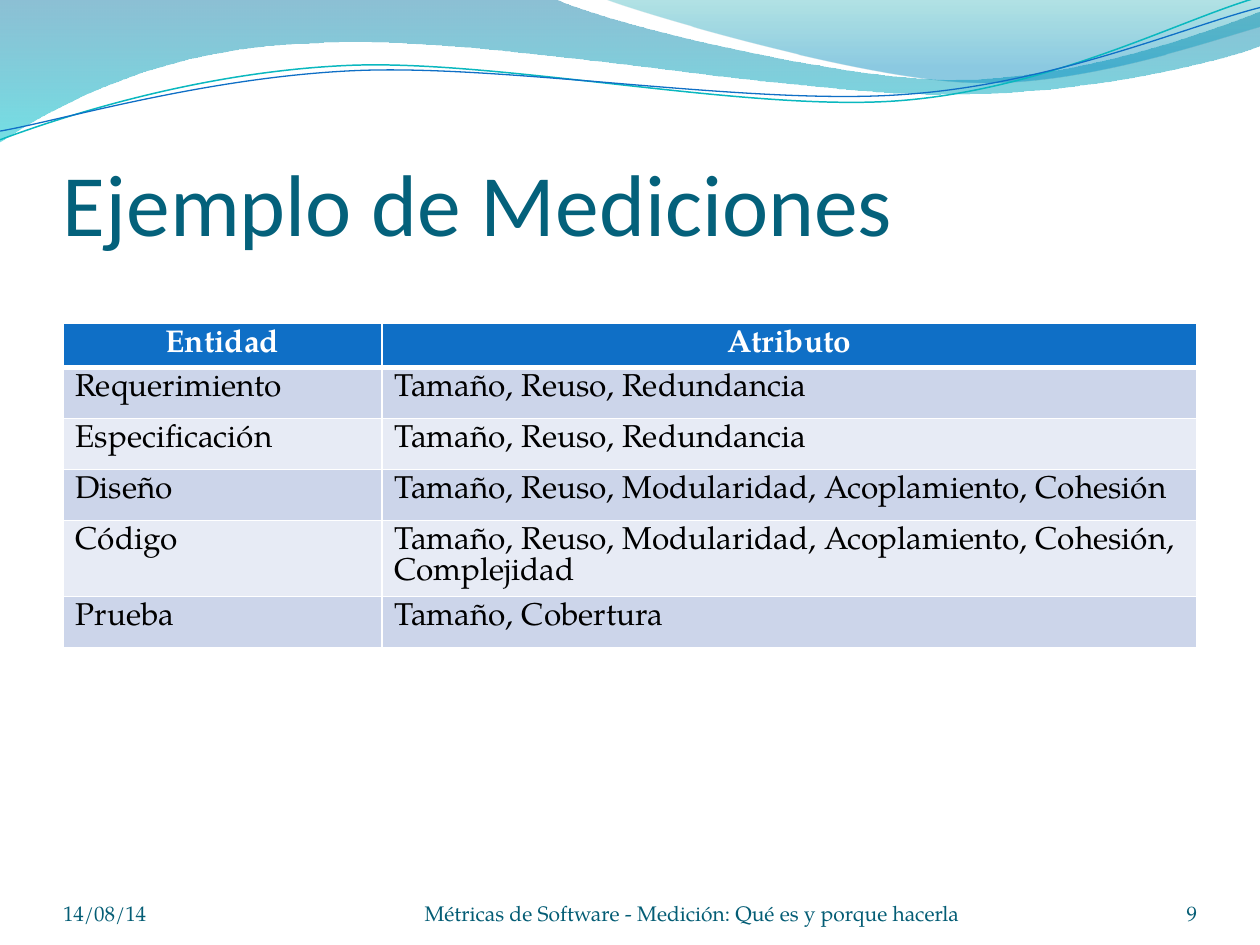
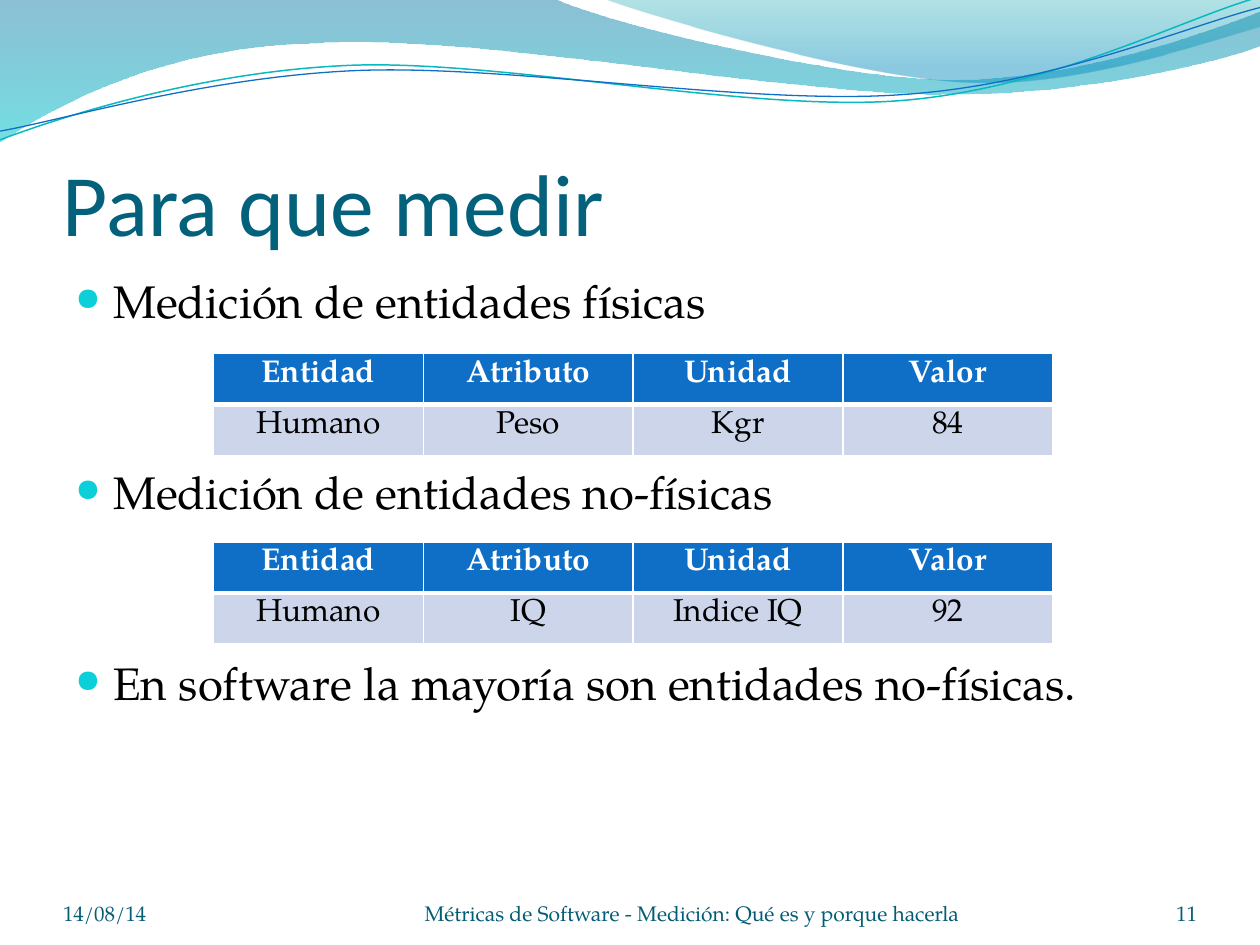
import lxml.etree
import pptx
import pptx.dml.color
import pptx.enum.text
import pptx.oxml.ns
import pptx.util

Pt = pptx.util.Pt
RGBColor = pptx.dml.color.RGBColor
ALIGN = pptx.enum.text.PP_ALIGN
ANCHOR = pptx.enum.text.MSO_ANCHOR
qn = pptx.oxml.ns.qn

WHITE = RGBColor(0xFF, 0xFF, 0xFF)
BLACK = RGBColor(0x00, 0x00, 0x00)
TITLE_TEAL = RGBColor(0x04, 0x61, 0x7B)
FOOTER_TEAL = RGBColor(0x04, 0x5D, 0x75)
BLUE = RGBColor(0x0F, 0x6F, 0xC6)
LINE_TEAL = RGBColor(0x0A, 0xB8, 0xBF)
BULLET_CYAN = RGBColor(0x0B, 0xD0, 0xD9)
BAND_DARK = RGBColor(0xCC, 0xD5, 0xEA)
BAND_LIGHT = RGBColor(0xE7, 0xEB, 0xF5)
WAVE_TOP = RGBColor(0x00, 0x74, 0xA1)
WAVE_BOTTOM = RGBColor(0x00, 0xC6, 0xCF)
CREST_TOP = RGBColor(0x00, 0xA1, 0xA9)
CREST_BOTTOM = RGBColor(0x00, 0x8B, 0xBF)

TITLE_FONT = "Calibri"
BODY_FONT = "TeX Gyre Pagella"
DATE = "14/08/14"
FOOTER = "Métricas de Software - Medición: Qué es y porque hacerla"

# Outlines in points: a pair is a straight step, six numbers are a Bézier step
WAVE = [(0, 0), (316.8, -0.7), (342.7, 12.2, 478.1, 45.4, 545.8, 45.4),
        (614.2, 45.4, 689.8, 18.7, 720, 6.5), (720.7, 25.9),
        (707.8, 31.7, 626.4, 54.7, 537.1, 54),
        (447.8, 54, 275, 20.2, 185, 24.5),
        (92.9, 25.9, 33.1, 59.8, -0.7, 81.4)]
CREST = [(344.9, -0.7), (366.5, 7.9, 491, 44.6, 553.7, 46.8),
         (616.3, 49.7, 691.9, 23, 720, 15.1), (720, 0)]
TEAL_LINE = [(0, 79.9), (34.6, 67, 113.8, 41, 199.4, 37.4),
             (284.4, 33.8, 427, 64.1, 513.4, 57.6),
             (599.8, 51.1, 675.4, 10.8, 718.6, -1.4)]
BLUE_LINE = [(0, 74.9), (33.8, 69.1, 118.1, 43.9, 203.8, 40.3),
             (290.2, 36.7, 429.8, 60.5, 516.2, 54),
             (601.9, 48.2, 677.5, 15.1, 720, 4.3)]


def write_text(paragraph, text, size=18, font=BODY_FONT, color=BLACK, bold=False,
               align=ALIGN.LEFT, line_height=None, space_before=0):
    paragraph.alignment = align
    paragraph.space_before = Pt(space_before)
    if line_height:
        paragraph.line_spacing = Pt(line_height)
    run = paragraph.add_run()
    run.text = text
    run.font.size = Pt(size)
    run.font.name = font
    run.font.bold = bold
    run.font.color.rgb = color


def add_bullet(paragraph, indent):
    properties = paragraph._p.get_or_add_pPr()
    properties.set("marL", str(Pt(indent)))
    properties.set("indent", str(-Pt(indent)))
    color = lxml.etree.SubElement(properties, qn("a:buClr"))
    lxml.etree.SubElement(color, qn("a:srgbClr"), val=str(BULLET_CYAN))
    lxml.etree.SubElement(properties, qn("a:buSzPct"), val="70000")
    lxml.etree.SubElement(properties, qn("a:buChar"), char="●")


def set_borders(cell, top, bottom):
    properties = cell._tc.get_or_add_tcPr()
    widths = {"a:lnL": 1, "a:lnR": 1, "a:lnT": top, "a:lnB": bottom}
    for index, (tag, width) in enumerate(widths.items()):
        line = lxml.etree.Element(qn(tag), w=str(Pt(width)))
        fill = lxml.etree.SubElement(line, qn("a:solidFill"))
        lxml.etree.SubElement(fill, qn("a:srgbClr"), val=str(WHITE))
        properties.insert(index, line)


class Deck:
    def __init__(self):
        self.presentation = pptx.Presentation()
        self.presentation.slide_width = Pt(720)
        self.presentation.slide_height = Pt(540)
        self.slide = None

    def new_slide(self, title, number):
        self.slide = self.presentation.slides.add_slide(self.presentation.slide_layouts[6])
        # Header waves
        self.gradient_wave(WAVE, [(0, WAVE_TOP, 45), (1, WAVE_BOTTOM, 55)])
        self.gradient_wave(CREST, [(0, CREST_TOP, 30), (0.8, CREST_BOTTOM, 45)])
        self.wave_line(TEAL_LINE, LINE_TEAL, 0.85)
        self.wave_line(BLUE_LINE, BLUE, 0.75)
        # Title
        self.text_box(36, 55, 648, 90, title, size=50, font=TITLE_FONT, color=TITLE_TEAL)
        # Footer
        for left, width, text, align in [(36, 168, DATE, ALIGN.LEFT),
                                         (210, 371, FOOTER, ALIGN.CENTER),
                                         (624, 60, str(number), ALIGN.RIGHT)]:
            self.text_box(left, 500.5, width, 28.75, text, size=12,
                          color=FOOTER_TEAL, align=align)

    def freeform(self, outline, close):
        corners = [(Pt(step[-2]), Pt(step[-1])) for step in outline]
        builder = self.slide.shapes.build_freeform(*corners[0])
        builder.add_line_segments(corners[1:], close=close)
        shape = builder.convert_to_shape()
        shape.shadow.inherit = False
        # Bend the straight segments that have control points
        segments = list(shape._element.spPr.iter(qn("a:lnTo")))
        for segment, step in zip(segments, outline[1:]):
            if len(step) == 6:
                curve = lxml.etree.Element(qn("a:cubicBezTo"))
                for x, y in zip(step[::2], step[1::2]):
                    lxml.etree.SubElement(curve, qn("a:pt"), x=str(Pt(x) - shape.left),
                                          y=str(Pt(y) - shape.top))
                segment.getparent().replace(segment, curve)
        return shape

    def gradient_wave(self, outline, stops):
        shape = self.freeform(outline, close=True)
        shape.line.fill.background()
        shape.fill.gradient()
        shape.fill.gradient_angle = 270
        for stop, (position, color, opacity) in zip(shape.fill.gradient_stops, stops):
            stop.position = position
            stop.color.rgb = color
        colors = shape._element.spPr.iter(qn("a:srgbClr"))
        for element, (position, color, opacity) in zip(list(colors), stops):
            lxml.etree.SubElement(element, qn("a:alpha"), val=str(opacity * 1000))

    def wave_line(self, outline, color, width):
        shape = self.freeform(outline, close=False)
        shape.fill.background()
        shape.line.color.rgb = color
        shape.line.width = Pt(width)

    def text_box(self, left, top, width, height, text, **text_format):
        """A line of text that stands on the bottom of its box."""
        shape = self.slide.shapes.add_textbox(Pt(left), Pt(top), Pt(width), Pt(height))
        frame = shape.text_frame
        frame.word_wrap = True
        frame.vertical_anchor = ANCHOR.BOTTOM
        frame.margin_left = frame.margin_top = frame.margin_right = frame.margin_bottom = 0
        write_text(frame.paragraphs[0], text, **text_format)

    def bullets(self, left, top, width, height, texts, gap):
        shape = self.slide.shapes.add_textbox(Pt(left), Pt(top), Pt(width), Pt(height))
        frame = shape.text_frame
        frame.word_wrap = True
        for index, text in enumerate(texts):
            paragraph = frame.add_paragraph() if index else frame.paragraphs[0]
            write_text(paragraph, text, size=26, line_height=31.2,
                       space_before=gap if index else 0)
            add_bullet(paragraph, 21.6)

    def table(self, left, top, column_widths, row_heights, rows, align):
        shape = self.slide.shapes.add_table(
            len(rows), len(column_widths), Pt(left), Pt(top),
            Pt(sum(column_widths)), Pt(sum(row_heights)))
        table = shape.table
        table.first_row = table.horz_banding = False
        for column, width in zip(table.columns, column_widths):
            column.width = Pt(width)
        for row_index, (texts, height) in enumerate(zip(rows, row_heights)):
            header = row_index == 0
            table.rows[row_index].height = Pt(height)
            band = BLUE if header else BAND_DARK if row_index % 2 else BAND_LIGHT
            for column_index, text in enumerate(texts):
                cell = table.cell(row_index, column_index)
                cell.fill.solid()
                cell.fill.fore_color.rgb = band
                set_borders(cell, top=3 if row_index == 1 else 1, bottom=3 if header else 1)
                write_text(cell.text_frame.paragraphs[0], text, bold=header,
                           color=WHITE if header else BLACK,
                           line_height=17.6 if header else 18,
                           align=ALIGN.CENTER if header else align)


def main():
    deck = Deck()

    # Measurement examples
    deck.new_slide("Ejemplo de Mediciones", 9)
    deck.table(36, 185, [182.2, 465.8], [24.8, 29.2, 29.2, 29.2, 43.4, 29.2], [
        ("Entidad", "Atributo"),
        ("Requerimiento", "Tamaño, Reuso, Redundancia"),
        ("Especificación", "Tamaño, Reuso, Redundancia"),
        ("Diseño", "Tamaño, Reuso, Modularidad, Acoplamiento, Cohesión"),
        ("Código", "Tamaño, Reuso, Modularidad, Acoplamiento, Cohesión, Complejidad"),
        ("Prueba", "Tamaño, Cobertura"),
    ], ALIGN.LEFT)

    # Reasons to measure
    deck.new_slide("Para que medir", 11)
    deck.bullets(36, 152.6, 648, 345.6, [
        "Medición de entidades físicas",
        "Medición de entidades no-físicas",
        "En software la mayoría son entidades no-físicas.",
    ], gap=78)
    measures = [(202, ("Humano", "Peso", "Kgr", "84")),
                (309.6, ("Humano", "IQ", "Indice IQ", "92"))]
    for top, measure in measures:
        deck.table(122, top, [119.9] * 4, [29.2] * 2,
                   [("Entidad", "Atributo", "Unidad", "Valor"), measure], ALIGN.CENTER)

    deck.presentation.save("out.pptx")


if __name__ == "__main__":
    main()
